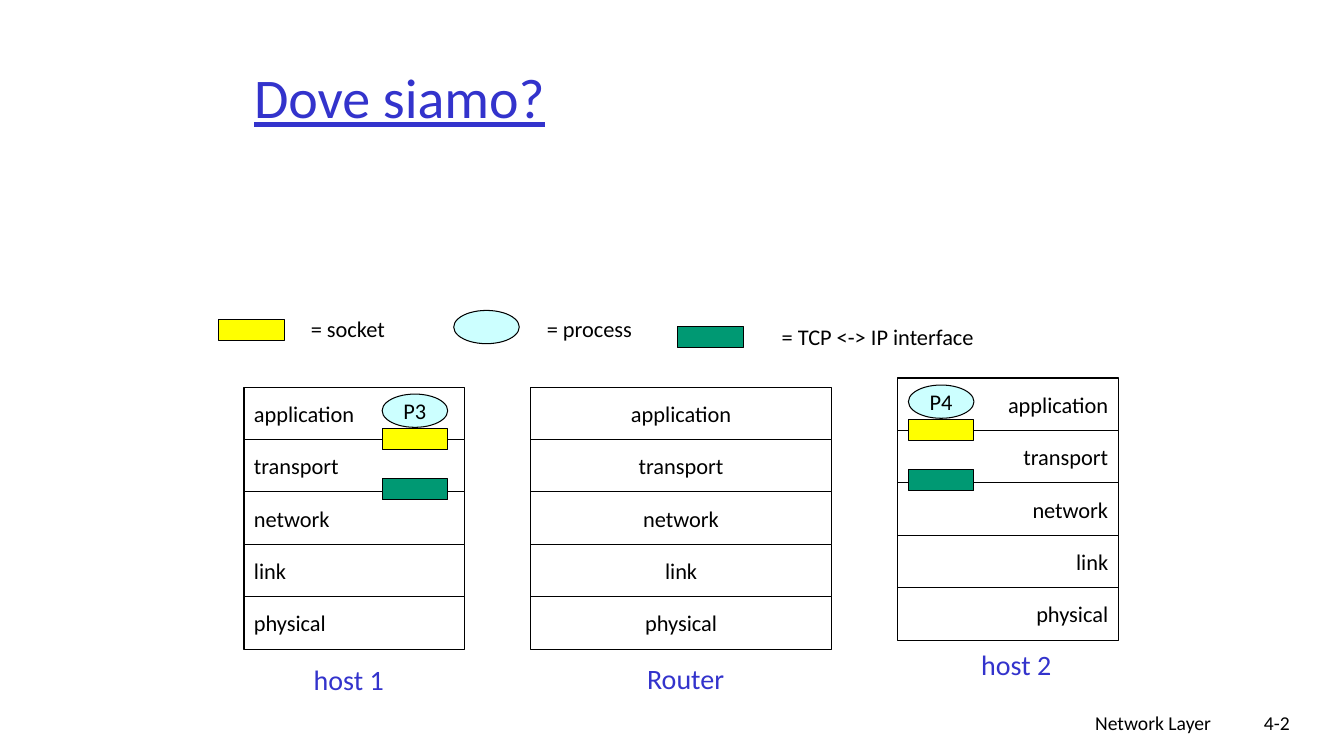
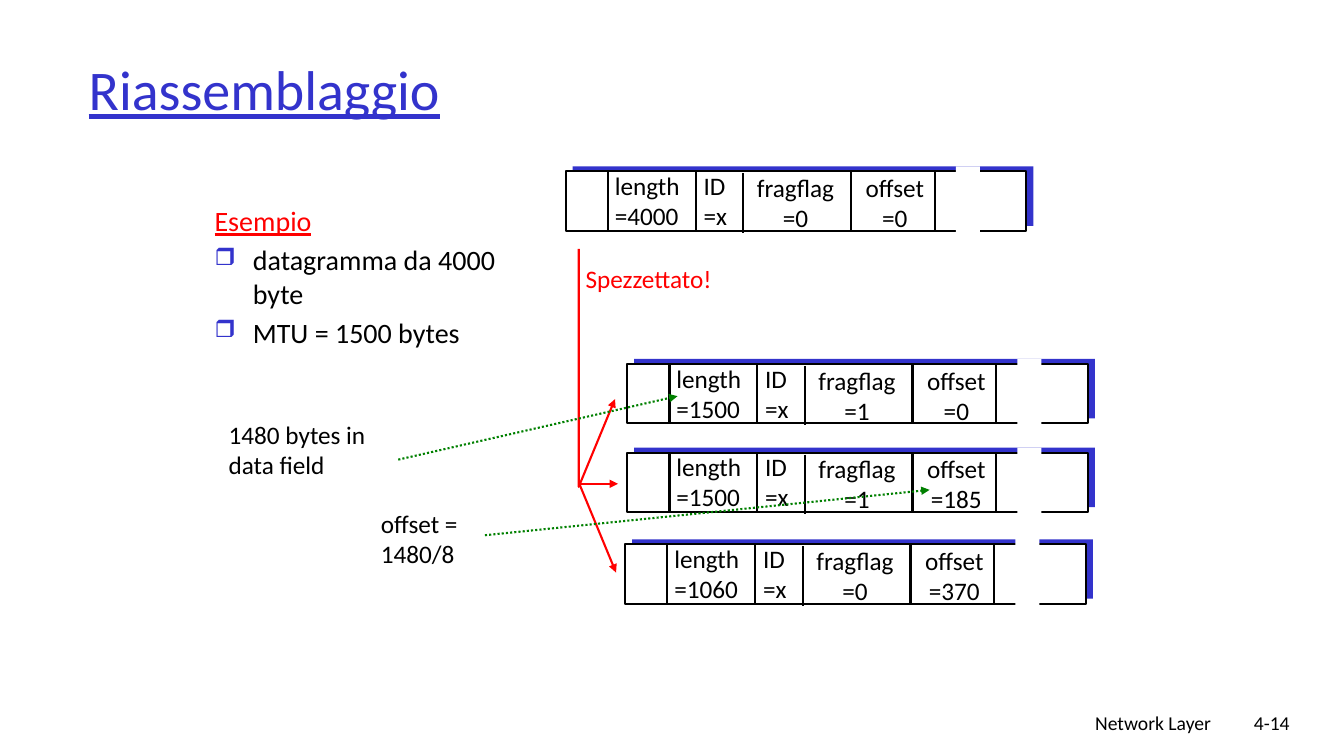
import pptx
import pptx.util
import pptx.dml.color
import pptx.enum.dml
import pptx.enum.shapes
import pptx.enum.text
import pptx.oxml.ns
import lxml.etree

PX = 9144  # EMU per px, 100 px to the inch
FONT = "Calibri"
BLACK, WHITE, BLUE, RED = "000000", "FFFFFF", "3333CC", "FF0000"
YELLOW, CYAN, TEAL, GREEN = "FFFF00", "CCFFFF", "009973", "008000"

ALIGN = pptx.enum.text.PP_ALIGN
LEFT, MID, RIGHT = ALIGN.LEFT, ALIGN.CENTER, ALIGN.RIGHT
RECT = pptx.enum.shapes.MSO_SHAPE.RECTANGLE
OVAL = pptx.enum.shapes.MSO_SHAPE.OVAL

FOOTER = "Network Layer"

# Slide 1
LAYERS = ["application", "transport", "network", "link", "physical"]
ROW = 52
NAME_W = 140
# name, left, top, width, alignment, name centre, name top, process, process offset
STACKS = [
    ("host 1", 242, 384, 219, LEFT, 346, 652, "P3", 137),
    ("Router", 526, 384, 299, MID, 680, 651, None, 0),
    ("host 2", 890, 375, 219, RIGHT, 1008, 637, "P4", 11),
]
# kind -> preset, height, colour, offset below the top of a stack
MARKS = {
    "socket": (RECT, 21, YELLOW, 41),
    "process": (OVAL, 33, CYAN, 7),
    "port": (RECT, 21, TEAL, 91),
}
MARK_W = 65
# kind, mark left, mark top, text, text left, text top, text width
LEGEND = [
    ("socket", 217, 317, "= socket", 298, 308, 94),
    ("process", 450, 308, "= process", 532, 308, 105),
    ("port", 672, 324, "= TCP <-> IP interface", 765, 316, 211),
]

# Slide 2
# field, text offset, text width, alignment, text rise, divider offset, divider drop
FIELDS = [
    ("length", 39, 85, LEFT, 6, 42, 0),
    ("ID", 127, 44, LEFT, 6, 129, 0),
    ("fragflag", 179, 98, MID, 4, 176, 2),
    ("offset", 287, 79, MID, 4, 283, 0),
]
LAST = 366
PACK_W, PACK_H = 457, 59
PACKETS = [
    (561, 170, ("=4000", "=x", "=0", "=0")),
    (622, 361, ("=1500", "=x", "=1", "=0")),
    (622, 449, ("=1500", "=x", "=1", "=185")),
    (620, 540, ("=1060", "=x", "=0", "=370")),
]
POINTS = ["Esempio", "datagramma da 4000 byte", "MTU = 1500 bytes"]
SPLIT = [(574, 247), (574, 483), (610, 396)]
FORKS = [(574, 480, 613, 480), (575, 481, 611, 568)]
# text, left, top, width, height, colour
NOTES = [
    ("Spezzettato!", 571, 256, 147, 40, RED),
    ("1480 bytes in\vdata field", 217, 411, 163, 71, BLACK),
    ("offset =\n1480/8", 368, 499, 100, 71, BLACK),
]
HINTS = [(395, 456, 672, 393), (481, 531, 922, 486)]


def px(*nums):
    return [pptx.util.Emu(n * PX) for n in nums]


def rgb(code):
    return pptx.dml.color.RGBColor.from_string(code)


def sub(node, tag, **attrs):
    return lxml.etree.SubElement(node, pptx.oxml.ns.qn(tag), attrs)


def write(shape, text, size, color=BLACK, align=LEFT, under=False):
    frame = shape.text_frame
    frame.text = text
    for para in frame.paragraphs:
        para.alignment = align
        for run in para.runs:
            font = run.font
            font.name, font.size = FONT, pptx.util.Pt(size)
            font.color.rgb = rgb(color)
            font.underline = under
    return frame


def label(shapes, text, at, size, color=BLACK, align=LEFT, wrap=False):
    box = shapes.add_textbox(*px(*at))
    frame = write(box, text, size, color, align)
    frame.word_wrap = wrap
    return frame


def block(shapes, kind, at, fill, width=0.75):
    """Add a filled shape; width 0 means no outline."""
    shape = shapes.add_shape(kind, *px(*at))
    shape.shadow.inherit = False
    shape.fill.solid()
    shape.fill.fore_color.rgb = rgb(fill)
    if width:
        ink(shape, BLACK, width)
    else:
        shape.line.fill.background()
    return shape


def ink(shape, color, width=1.5, dots=False, arrow=False):
    """Style an outline."""
    shape.line.color.rgb = rgb(color)
    shape.line.width = pptx.util.Pt(width)
    if dots:
        shape.line.dash_style = pptx.enum.dml.MSO_LINE.ROUND_DOT
    if arrow:
        ln = shape.element.spPr.find(pptx.oxml.ns.qn("a:ln"))
        sub(ln, "a:tailEnd", type="triangle")


def line(shapes, ends, color, **style):
    kind = pptx.enum.shapes.MSO_CONNECTOR.STRAIGHT
    link = shapes.add_connector(kind, *px(*ends))
    ink(link, color, **style)
    sub(link.element.spPr, "a:effectLst")


def start(deck, title, at, number):
    """Add a slide with the shared title style and footer."""
    slide = deck.slides.add_slide(deck.slide_layouts[5])
    head = slide.shapes.title
    head.left, head.top, head.width, head.height = px(*at)
    frame = write(head, title, 40, BLUE, under=True)
    frame.auto_size = pptx.enum.text.MSO_AUTO_SIZE.NONE
    frame.vertical_anchor = pptx.enum.text.MSO_ANCHOR.MIDDLE
    for text, left, width in ((FOOTER, 789, 422), (number, 1190, 99)):
        label(slide.shapes, text, (left, 700, width, 50), 14, align=RIGHT, wrap=True)
    return slide.shapes


def mark(shapes, kind, left, top, text=""):
    preset, high, fill, _ = MARKS[kind]
    shape = block(shapes, preset, (left, top, MARK_W, high), fill)
    if text:
        frame = write(shape, text, 16, align=MID)
        frame.margin_left = frame.margin_right = 0
        frame.margin_top = frame.margin_bottom = 0
        frame.vertical_anchor = pptx.enum.text.MSO_ANCHOR.MIDDLE


def stack(shapes, name, left, top, width, align, centre, base, proc, shift):
    for i, layer in enumerate(LAYERS):
        cell = block(shapes, RECT, (left, top + i * ROW, width, ROW), WHITE)
        frame = write(cell, layer, 16, align=align)
        frame.vertical_anchor = pptx.enum.text.MSO_ANCHOR.MIDDLE
    if proc:
        for kind, (_, _, _, drop) in MARKS.items():
            text = proc if kind == "process" else ""
            mark(shapes, kind, left + shift, top + drop, text)
    at = (centre - NAME_W // 2, base, NAME_W, 44)
    label(shapes, name, at, 20, BLUE, MID)


def packet(shapes, left, top, values):
    parts = shapes.add_group_shape().shapes
    block(parts, RECT, (left + 7, top - 5, PACK_W, PACK_H), BLUE, 0)
    block(parts, RECT, (left, top, PACK_W, PACK_H), WHITE, 1.5)
    for field, value in zip(FIELDS, values):
        name, shift, width, align, rise, _, _ = field
        at = (left + shift, top - rise, width, 71)
        label(parts, name + "\n" + value, at, 18, align=align)
    for shift, drop in [field[5:] for field in FIELDS] + [(LAST, 0)]:
        x, y = left + shift, top + drop
        line(parts, (x, y, x, y + PACK_H), BLACK)
    block(parts, RECT, (left + 387, top - 5, 24, 66), WHITE, 0)


def bullets(shapes):
    frame = label(shapes, "\n".join(POINTS), (203, 197, 310, 184), 20, wrap=True)
    for i, para in enumerate(frame.paragraphs):
        para.space_before = pptx.util.Pt(4)
        props = para._p.get_or_add_pPr()
        props.set("marL", str(38 * PX))
        props.set("indent", str(-38 * PX))
        if i:
            sub(sub(props, "a:buClr"), "a:srgbClr", val=BLUE)
            sub(props, "a:buSzPct", val="85000")
            sub(props, "a:buChar", char="❒")
    font = frame.paragraphs[0].runs[0].font
    font.color.rgb, font.underline = rgb(RED), True


def layers(deck):
    shapes = start(deck, "Dove siamo?", (242, 33, 850, 125), "4-2")
    for item in STACKS:
        stack(shapes, *item)
    for kind, left, top, text, x, y, width in LEGEND:
        mark(shapes, kind, left, top)
        label(shapes, text, (x, y, width, 37), 16, align=MID)


def pieces(deck):
    shapes = start(deck, "Riassemblaggio", (78, 25, 1133, 125), "4-14")
    for item in PACKETS:
        packet(shapes, *item)
    pen = shapes.build_freeform(*SPLIT[0], scale=PX)
    pen.add_line_segments(SPLIT[1:], close=False)
    bend = pen.convert_to_shape()
    bend.shadow.inherit = False
    bend.fill.background()
    ink(bend, RED, arrow=True)
    for ends in FORKS:
        line(shapes, ends, RED, arrow=True)
    bullets(shapes)
    for text, left, top, width, high, color in NOTES:
        label(shapes, text, (left, top, width, high), 18, color)
    for ends in HINTS:
        line(shapes, ends, GREEN, dots=True, arrow=True)


def main():
    deck = pptx.Presentation()
    deck.slide_width, deck.slide_height = px(1333, 750)
    layers(deck)
    pieces(deck)
    deck.save("out.pptx")


if __name__ == "__main__":
    main()
